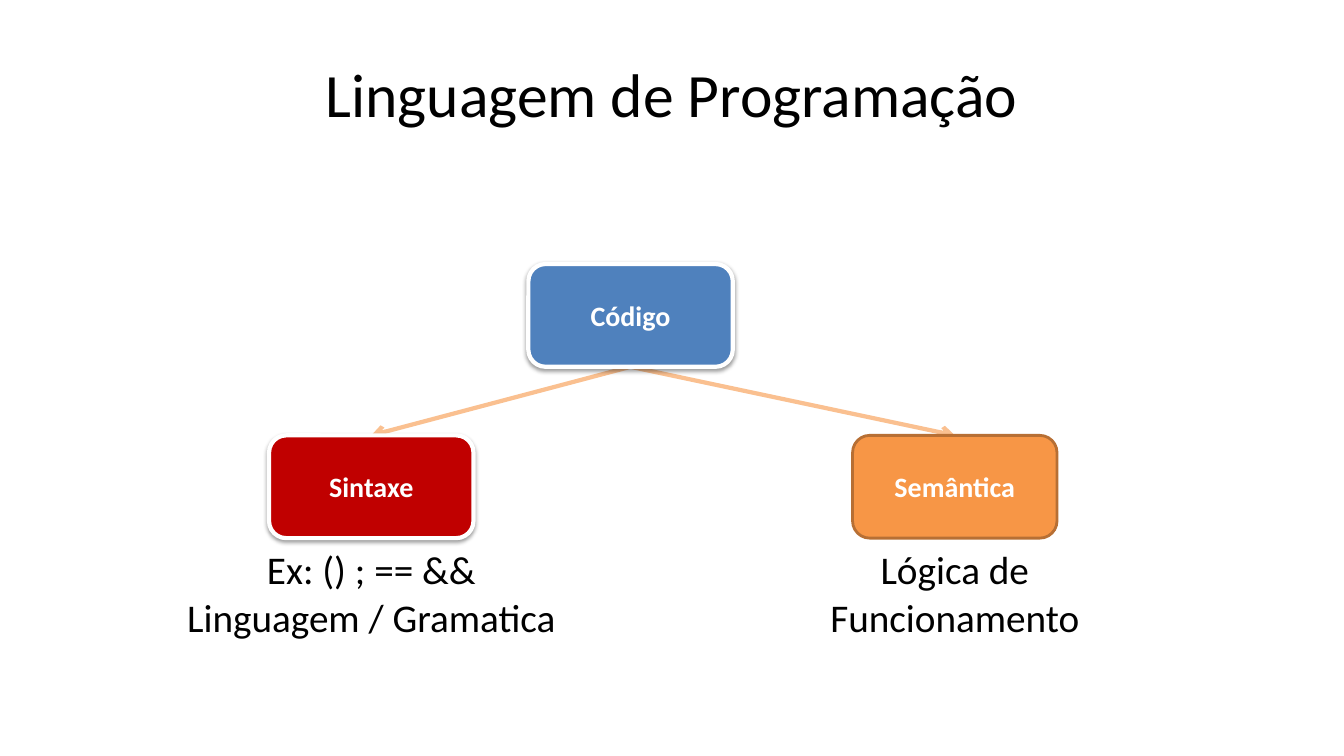
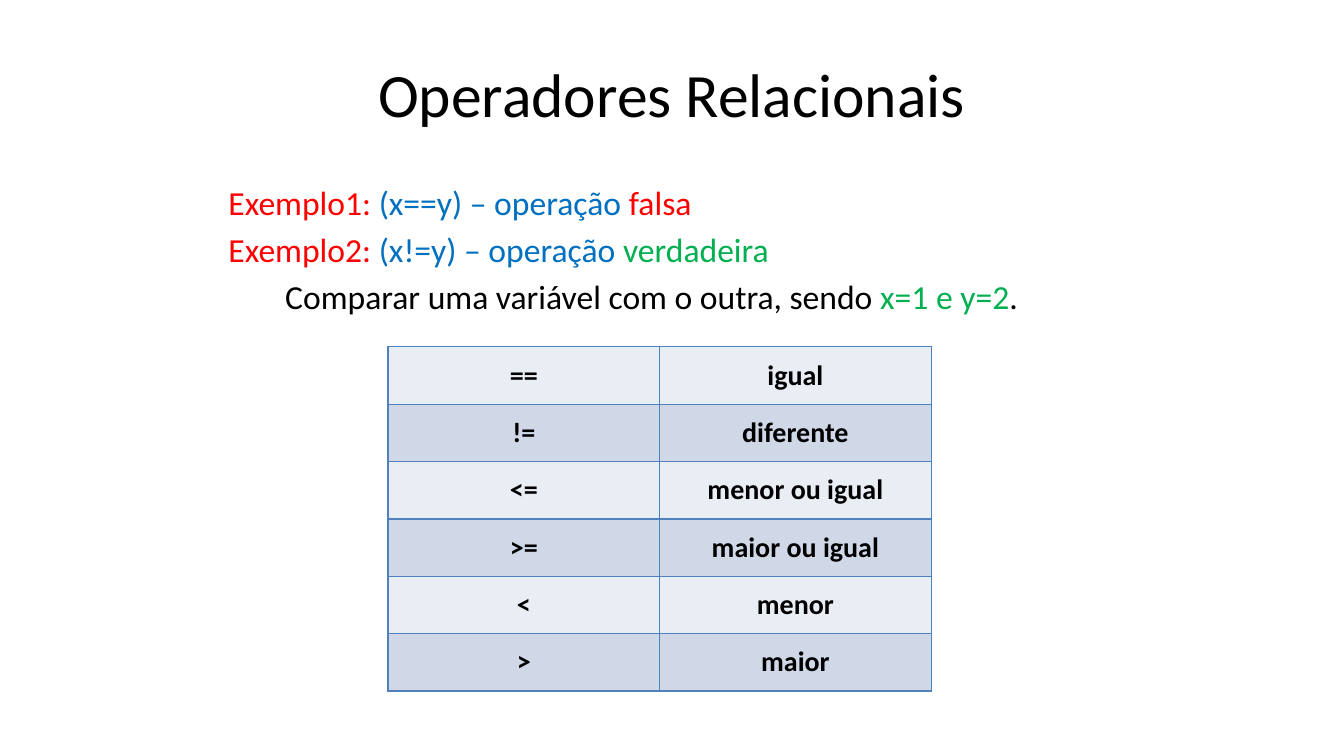
from dataclasses import dataclass
from pptx import Presentation
from pptx.dml.color import RGBColor
from pptx.enum.shapes import MSO_CONNECTOR, MSO_SHAPE
from pptx.enum.text import MSO_ANCHOR, PP_ALIGN
from pptx.oxml import parse_xml
from pptx.oxml.ns import nsdecls
from pptx.oxml.xmlchemy import OxmlElement
from pptx.util import Pt


@dataclass(frozen=True)
class Theme:
    font: str = "Calibri"
    black: str = "000000"
    white: str = "FFFFFF"
    red: str = "FF0000"
    blue: str = "0070C0"
    green: str = "00B050"
    box_blue: str = "4F81BD"
    box_red: str = "C00000"
    box_orange: str = "F79646"
    orange_edge: str = "B76F34"
    arrow: str = "FAC090"
    bands: tuple = ("E9EDF4", "D0D8E8")
    title_size: float = 44
    caption_size: float = 28
    body_size: float = 24
    label_size: float = 20


T = Theme()

# Content
CODE_TITLE = "Linguagem de Programação"
# label, centre x, top, fill, edge colour, edge width, has shadow
BOXES = [
    ("Código", 450.4, 188.6, T.box_blue, T.white, 3, True),
    ("Sintaxe", 265.2, 311, T.box_red, T.white, 3, True),
    ("Semântica", 682, 311, T.box_orange, T.orange_edge, 2, False),
]
# lines, centre x, width
CAPTIONS = [
    ("Ex: () ; == &&\nLinguagem / Gramatica", 265.2, 307),
    ("Lógica de Funcionamento", 682, 210),
]
OPERATORS_TITLE = "Operadores Relacionais"
# first-line indent, coloured pieces
EXAMPLES = [
    (-40.5, [("Exemplo1: ", T.red), ("(x==y) – operação ", T.blue),
             ("falsa", T.red)]),
    (-40.5, [("Exemplo2:", T.red), (" (x!=y) – operação ", T.blue),
             ("verdadeira", T.green)]),
    (0, [("Comparar uma variável com o outra, sendo ", T.black),
         ("x=1 e y=2", T.green), (".", T.black)]),
]
OPERATORS = [
    ("==", "igual"),
    ("!=", "diferente"),
    ("<=", "menor ou igual"),
    (">=", "maior ou igual"),
    ("<", "menor"),
    (">", "maior"),
]

# Layout, in points
SLIDE_W, SLIDE_H = 960, 540
TITLE_AREA = (48, 21.6, 864, 90)
BODY_AREA = (156, 126, 648, 380)
BOX_W, BOX_H = 146, 73.4
CAPTION_MIDDLE, CAPTION_H = 423.5, 80
TABLE_LEFT, TABLE_TOP, COL_W, ROW_H = 277.2, 247.7, 194, 41
TOP_SITE, BOTTOM_SITE = 0, 2


def rgb(code):
    return RGBColor.from_string(code)


def style_run(r, size, color, bold=False):
    r.font.name = T.font
    r.font.size = Pt(size)
    r.font.bold = bold
    r.font.color.rgb = rgb(color)


def set_text(tf, text, size, color, bold=False):
    """Centred text in one style, one paragraph per line."""
    tf.text = text
    for p in tf.paragraphs:
        p.alignment = PP_ALIGN.CENTER
        for r in p.runs:
            style_run(r, size, color, bold)


def place(s, left, top, width, height):
    s.left, s.top, s.width, s.height = map(Pt, (left, top, width, height))


def add_slide(prs, layout, title):
    slide = prs.slides.add_slide(prs.slide_layouts[layout])
    s = slide.shapes.title
    place(s, *TITLE_AREA)
    s.text_frame.vertical_anchor = MSO_ANCHOR.MIDDLE
    set_text(s.text_frame, title, T.title_size, T.black)
    return slide


def add_panel(slide, kind, area, fill, edge, edge_width):
    s = slide.shapes.add_shape(kind, *map(Pt, area))
    s.shadow.inherit = False
    s.fill.solid()
    s.fill.fore_color.rgb = rgb(fill)
    s.line.color.rgb = rgb(edge)
    s.line.width = Pt(edge_width)
    s.text_frame.word_wrap = True
    s.text_frame.vertical_anchor = MSO_ANCHOR.MIDDLE
    return s


def add_drop_shadow(s):
    effects = s._element.spPr.find("{*}effectLst")
    effects.append(parse_xml(
        f'<a:outerShdw {nsdecls("a")} blurRad="{Pt(3.1)}" dist="{Pt(1.6)}" '
        f'dir="5400000" rotWithShape="0"><a:srgbClr val="{T.black}">'
        '<a:alpha val="38000"/></a:srgbClr></a:outerShdw>'))


def add_box(slide, label, center, top, fill, edge, edge_width, shadow):
    s = add_panel(slide, MSO_SHAPE.ROUNDED_RECTANGLE,
                  (center - BOX_W / 2, top, BOX_W, BOX_H),
                  fill, edge, edge_width)
    if shadow:
        add_drop_shadow(s)
    set_text(s.text_frame, label, T.label_size, T.white, bold=True)
    return s


def add_caption(slide, text, center, width):
    s = add_panel(slide, MSO_SHAPE.RECTANGLE,
                  (center - width / 2, CAPTION_MIDDLE - CAPTION_H / 2,
                   width, CAPTION_H), T.white, T.white, 2)
    set_text(s.text_frame, text, T.caption_size, T.black)


def add_arrow(slide, parent, child):
    """Arrow from parent to child, kept behind the boxes."""
    c = slide.shapes.add_connector(MSO_CONNECTOR.STRAIGHT, 0, 0, 0, 0)
    c.begin_connect(parent, BOTTOM_SITE)
    c.end_connect(child, TOP_SITE)
    c.line.color.rgb = rgb(T.arrow)
    c.line.width = Pt(3)
    tail = OxmlElement("a:tailEnd")
    tail.set("type", "arrow")
    c.line._get_or_add_ln().append(tail)
    c._element.spPr.append(OxmlElement("a:effectLst"))
    slide.shapes._spTree.insert(2, c._element)


def add_examples(s):
    place(s, *BODY_AREA)
    tf = s.text_frame
    for i, (indent, pieces) in enumerate(EXAMPLES):
        p = tf.paragraphs[0] if i == 0 else tf.add_paragraph()
        p.space_before = Pt(4.8)
        pPr = p._p.get_or_add_pPr()
        pPr.set("marL", str(Pt(40.5)))
        pPr.set("indent", str(Pt(indent)))
        pPr.append(OxmlElement("a:buNone"))
        for text, color in pieces:
            r = p.add_run()
            r.text = text
            style_run(r, T.body_size, color)


def add_cell_borders(cell):
    tcPr = cell._tc.get_or_add_tcPr()
    for side in "LRTB":
        tcPr.append(parse_xml(
            f'<a:ln{side} {nsdecls("a")} w="{Pt(1)}"><a:solidFill>'
            f'<a:srgbClr val="{T.box_blue}"/></a:solidFill></a:ln{side}>'))


def add_operator_table(slide):
    rows, cols = len(OPERATORS), len(OPERATORS[0])
    table = slide.shapes.add_table(
        rows, cols, Pt(TABLE_LEFT), Pt(TABLE_TOP),
        Pt(cols * COL_W), Pt(rows * ROW_H)).table
    table.first_row = table.horz_banding = False
    for i, row in enumerate(OPERATORS):
        for j, text in enumerate(row):
            cell = table.cell(i, j)
            cell.vertical_anchor = MSO_ANCHOR.MIDDLE
            add_cell_borders(cell)
            cell.fill.solid()
            cell.fill.fore_color.rgb = rgb(T.bands[i % 2])
            set_text(cell.text_frame, text, T.label_size, T.black, bold=True)


def build_code_slide(prs):
    slide = add_slide(prs, 5, CODE_TITLE)
    for caption in CAPTIONS:
        add_caption(slide, *caption)
    root, *children = [add_box(slide, *box) for box in BOXES]
    for child in children:
        add_arrow(slide, root, child)


def build_operators_slide(prs):
    slide = add_slide(prs, 1, OPERATORS_TITLE)
    add_examples(slide.placeholders[1])
    add_operator_table(slide)


def main():
    prs = Presentation()
    prs.slide_width, prs.slide_height = Pt(SLIDE_W), Pt(SLIDE_H)
    build_code_slide(prs)
    build_operators_slide(prs)
    prs.save("out.pptx")


if __name__ == "__main__":
    main()
